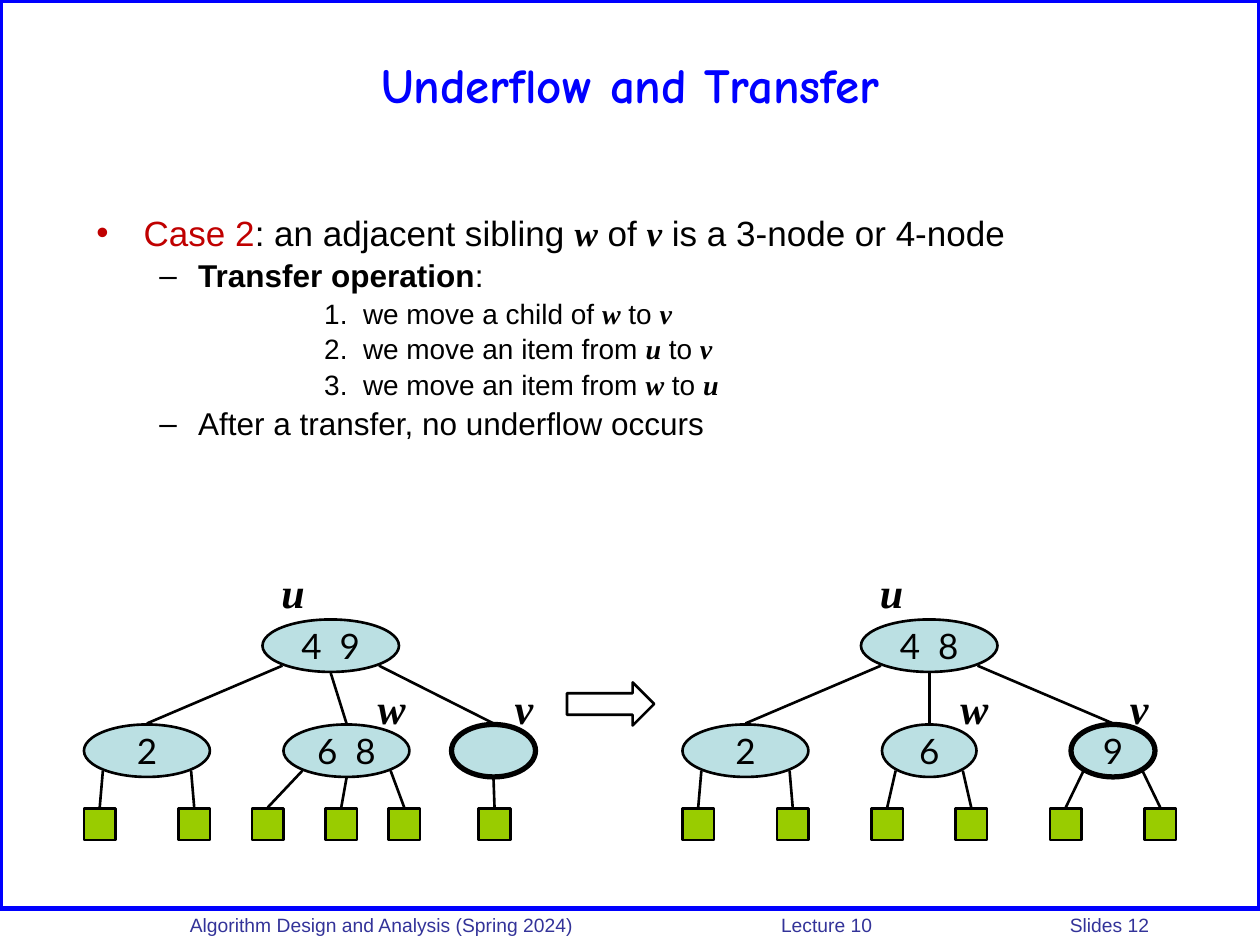
from math import sqrt

from lxml import etree
from pptx import Presentation
from pptx.dml.color import RGBColor
from pptx.enum.shapes import MSO_CONNECTOR, MSO_SHAPE
from pptx.enum.text import MSO_ANCHOR, PP_ALIGN
from pptx.oxml.ns import qn
from pptx.util import Pt

PX = 7620  # EMU per px, 120 px to the inch
STRAIGHT = MSO_CONNECTOR.STRAIGHT
OVAL, RECTANGLE, ARROW = MSO_SHAPE.OVAL, MSO_SHAPE.RECTANGLE, MSO_SHAPE.RIGHT_ARROW
MIDDLE, TOP = MSO_ANCHOR.MIDDLE, MSO_ANCHOR.TOP
LEFT, CENTER = PP_ALIGN.LEFT, PP_ALIGN.CENTER

NODE_TOP, NODE_HEIGHT = 690, 50
ROOT_TOP, ROOT_WIDTH = 590, 130
LEAF_TOP, LEAF_SIZE = 770, 30
SITES = {1: [0], 2: [-1, 1], 3: [-1, 0, 1]}  # left, bottom, right of a node


def color(hex_string):
    return RGBColor.from_string(hex_string)


def add_run(paragraph, text, font="Arial", size=20, ink="000000", bold=False, italic=False):
    run = paragraph.add_run()
    run.text = text
    run.font.name = font
    run.font.size = Pt(size)
    run.font.color.rgb = color(ink)
    run.font.bold = bold
    run.font.italic = italic


def add_element(parent, tag, **attributes):
    element = etree.SubElement(parent, qn(tag))
    for name, value in attributes.items():
        element.set(name, str(value))
    return element


def lower_site(node, side):
    """Point on the lower edge of an ellipse: -1 left, 0 bottom, 1 right."""
    left, top, width, height = node
    drop = 1 / sqrt(2) if side else 1
    x = left + width / 2 * (1 + side / sqrt(2))
    return round(x), round(top + height / 2 * (1 + drop)) + 1


class TreeSlide:
    black = "000000"
    blue = "0000FF"
    node_fill = "BBE0E3"
    leaf_fill = "99CC00"
    variable = {"font": "Times New Roman", "bold": True, "italic": True}

    def __init__(self, presentation):
        self.slide = presentation.slides.add_slide(presentation.slide_layouts[5])

    def title(self, text, left, top, width, height):
        shape = self.slide.shapes.title
        shape.left, shape.top, shape.width, shape.height = (
            value * PX for value in (left, top, width, height))
        shape.text_frame.vertical_anchor = MIDDLE
        paragraph = shape.text_frame.paragraphs[0]
        paragraph.alignment = CENTER
        add_run(paragraph, text, font="Comic Neue", size=28, ink=self.blue, bold=True)

    def shape(self, kind, left, top, width, height, fill=None, line=black, weight=1.5):
        shape = self.slide.shapes.add_shape(kind, left * PX, top * PX, width * PX, height * PX)
        shape.shadow.inherit = False
        if fill:
            shape.fill.solid()
            shape.fill.fore_color.rgb = color(fill)
        else:
            shape.fill.background()
        shape.line.color.rgb = color(line)
        shape.line.width = Pt(weight)
        return shape

    def node(self, text, left, top, width, height, weight=1.5):
        shape = self.shape(OVAL, left, top, width, height, self.node_fill, weight=weight)
        if text:
            frame = shape.text_frame
            frame.word_wrap = False
            frame.vertical_anchor = MIDDLE
            frame.paragraphs[0].alignment = CENTER
            add_run(frame.paragraphs[0], text, font="Lato")

    def edge(self, start, end):
        points = [value * PX for value in (*start, *end)]
        connector = self.slide.shapes.add_connector(STRAIGHT, *points)
        connector.line.color.rgb = color(self.black)
        connector.line.width = Pt(1.5)
        add_element(connector._element.spPr, "a:effectLst")

    def text_box(self, left, top, width, height, inset=(12, 6)):
        box = self.slide.shapes.add_textbox(left * PX, top * PX, width * PX, height * PX)
        frame = box.text_frame
        frame.word_wrap = True
        frame.vertical_anchor = TOP
        frame.margin_left = frame.margin_right = inset[0] * PX
        frame.margin_top = frame.margin_bottom = inset[1] * PX
        return frame

    def label(self, text, center, top):
        paragraph = self.text_box(center - 20, top, 40, 48, inset=(0, 0)).paragraphs[0]
        paragraph.alignment = CENTER
        add_run(paragraph, text, size=24, **self.variable)

    def footer(self, parts, left, top, width, height, tabs):
        paragraph = self.text_box(left, top, width, height).paragraphs[0]
        tab_list = add_element(paragraph._p.get_or_add_pPr(), "a:tabLst")
        for position in tabs:
            add_element(tab_list, "a:tab", pos=position * PX, algn="l")
        add_run(paragraph, "\t".join(parts), size=11, ink="333399")

    def outline(self, items, left, top, width, height):
        """Items are (style, runs); a run is (text, format)."""
        styles = {  # level, size, margin, hanging, bullet
            "case": (0, 20, 45, 45, "•"),
            "point": (1, 18, 97, 37, "–"),
            "step": (2, 16, 254, 37, None),
        }
        frame = self.text_box(left, top, width, height)
        for index, (style, runs) in enumerate(items):
            level, size, margin, hanging, bullet = styles[style]
            paragraph = frame.add_paragraph() if index else frame.paragraphs[0]
            paragraph.level = level
            paragraph.alignment = LEFT
            paragraph.line_spacing = 0.9
            if index:
                paragraph.space_before = Pt(size * 0.2)
            properties = paragraph._p.get_or_add_pPr()
            properties.set("marL", str(margin * PX))
            properties.set("indent", str(-hanging * PX))
            add_element(properties, "a:buFont", typeface="Arial")
            if bullet:
                add_element(properties, "a:buChar", char=bullet)
            else:
                add_element(properties, "a:buAutoNum", type="arabicPeriod")
            for text, run_format in runs:
                add_run(paragraph, text, size=size, **run_format)

    def tree(self, root_text, root_left, children, labels):
        """Children are (text, left, width, line weight, lefts of their leaves)."""
        root = (root_left, ROOT_TOP, ROOT_WIDTH, NODE_HEIGHT)
        self.node(root_text, *root)
        for side, (text, left, width, weight, leaves) in zip(SITES[len(children)], children):
            child = (left, NODE_TOP, width, NODE_HEIGHT)
            self.node(text, *child, weight=weight)
            self.edge((left + width // 2, NODE_TOP - 1), lower_site(root, side))
            for leaf_side, leaf in zip(SITES[len(leaves)], leaves):
                self.shape(RECTANGLE, leaf, LEAF_TOP, LEAF_SIZE, LEAF_SIZE, self.leaf_fill)
                self.edge((leaf + LEAF_SIZE // 2, LEAF_TOP - 1), lower_site(child, leaf_side))
        for text, center, top in labels:
            self.label(text, center, top)


def main():
    presentation = Presentation()
    presentation.slide_width, presentation.slide_height = 1200 * PX, 900 * PX
    page = TreeSlide(presentation)
    variable = page.variable

    page.shape(RECTANGLE, 0, 0, 1200, 865, line=page.blue, weight=3)
    page.footer(["Algorithm Design and Analysis (Spring 2024)", "Lecture 10", "Slides 12"],
                169, 864, 1031, 31, tabs=(563, 838))
    page.title("Underflow and Transfer", 60, 20, 1080, 120)

    steps = [("we move a child of ", "w", "v"),
             ("we move an item from ", "u", "v"),
             ("we move an item from ", "w", "u")]
    page.outline([
        ("case", [("Case 2", {"ink": "C00000"}), (": an adjacent sibling ", {}),
                  ("w", variable), (" of ", {}), ("v", variable),
                  (" is a 3-node or 4-node", {})]),
        ("point", [("Transfer operation", {"bold": True}), (":", {})]),
        *[("step", [(action, {}), (source, variable), (" to ", {}), (target, variable)])
          for action, source, target in steps],
        ("point", [("After a transfer, no underflow occurs", {})]),
    ], 80, 200, 1040, 310)

    page.tree("4  9", 250, [
        ("2", 80, 120, 1.5, [80, 170]),
        ("6  8", 270, 120, 1.5, [240, 310, 370]),
        ("", 430, 80, 3, [456]),
    ], [("u", 279, 540), ("w", 373, 650), ("v", 499, 650)])

    arrow = page.shape(ARROW, 540, 650, 83, 41)
    arrow.adjustments[0], arrow.adjustments[1] = 0.5, 0.5

    page.tree("4  8", 820, [
        ("2", 650, 120, 1.5, [650, 740]),
        ("6", 840, 90, 1.5, [830, 910]),
        ("9", 1020, 80, 3, [1000, 1090]),
    ], [("u", 849, 540), ("w", 928, 650), ("v", 1085, 650)])

    presentation.save("out.pptx")


if __name__ == "__main__":
    main()
